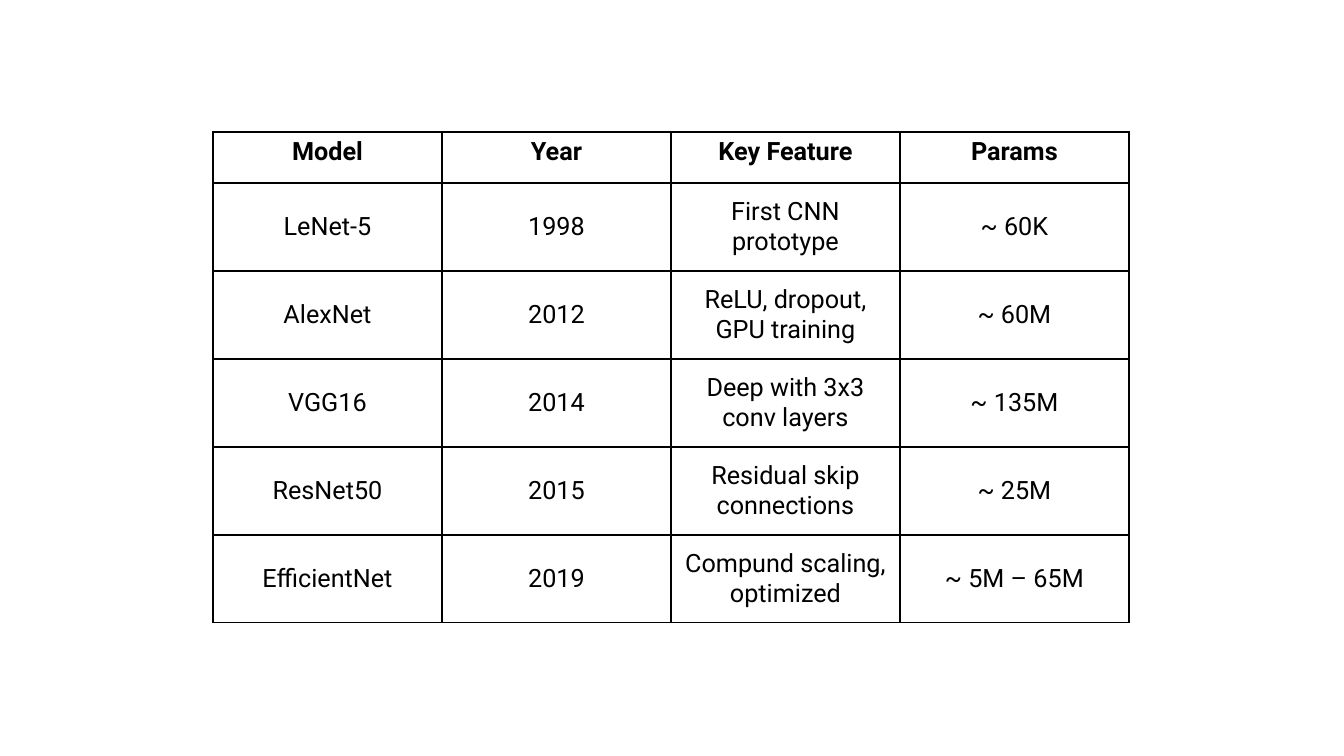
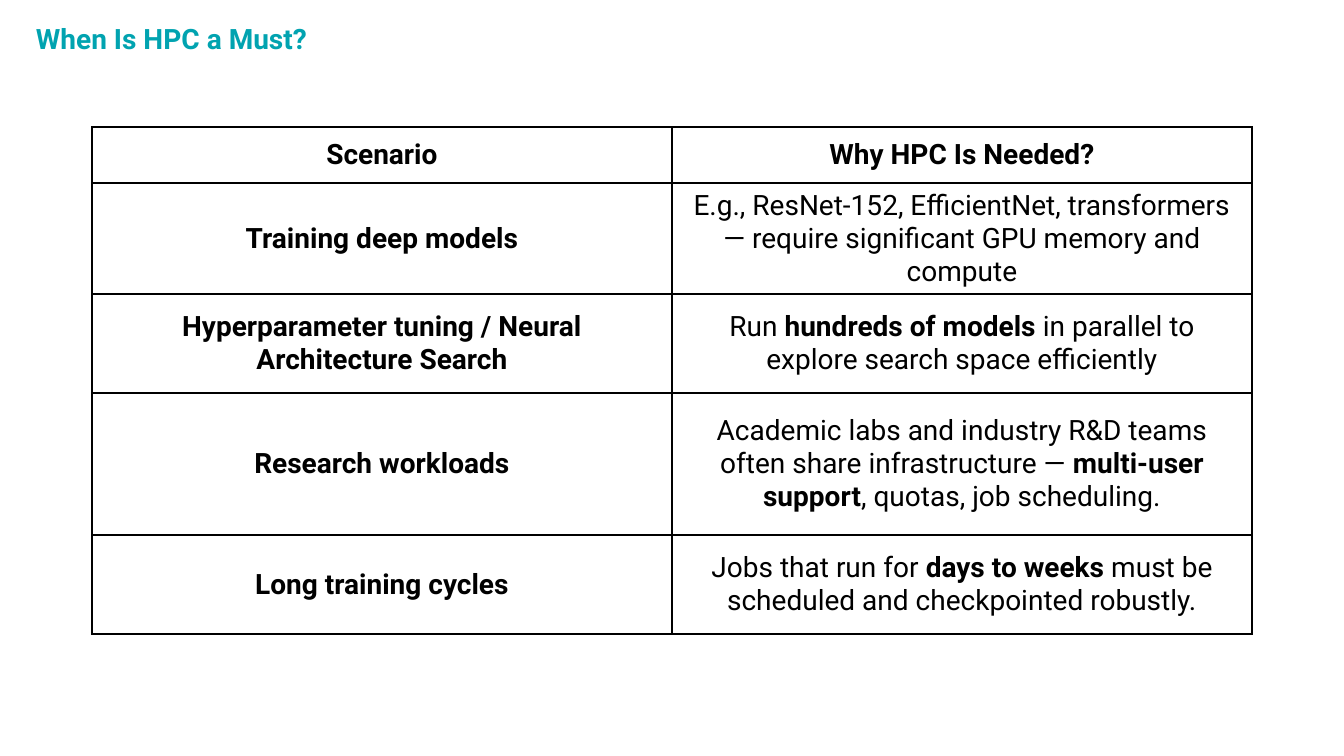
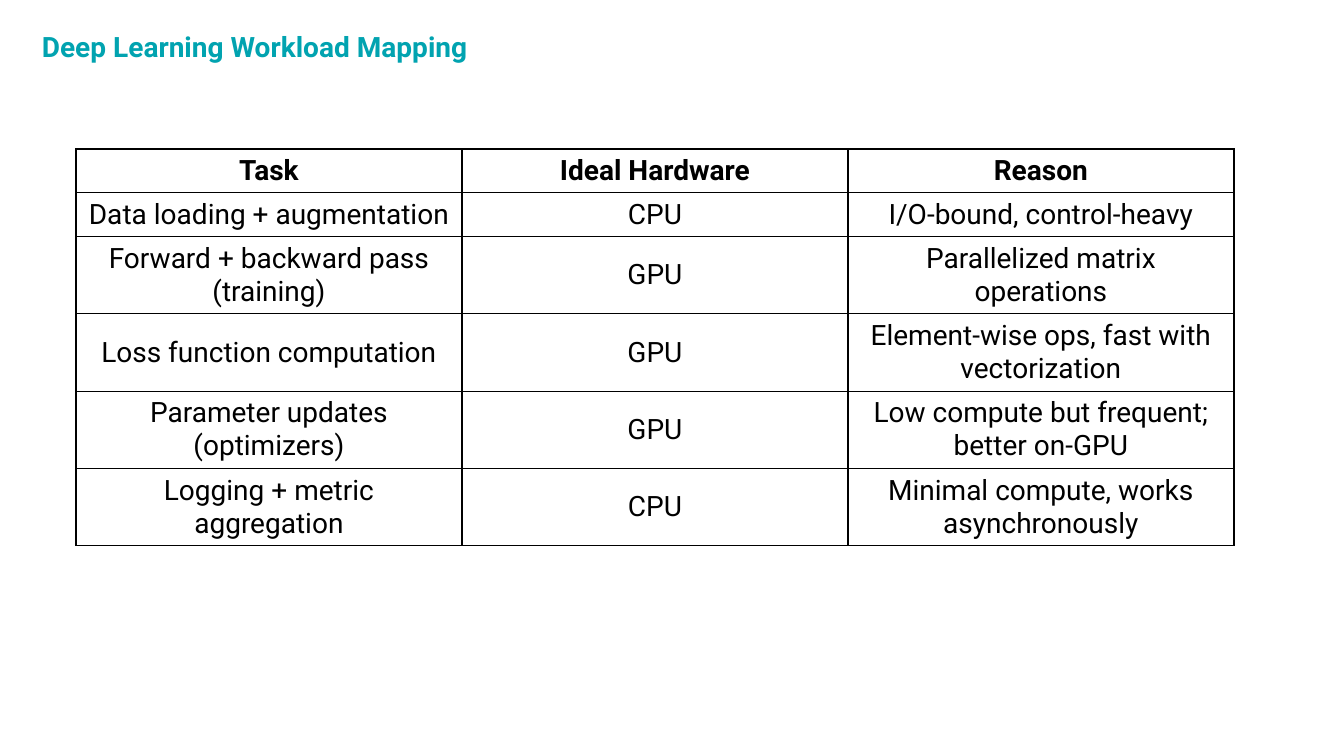
from lxml import etree
from pptx import Presentation
from pptx.dml.color import RGBColor
from pptx.enum.text import MSO_ANCHOR, MSO_AUTO_SIZE, PP_ALIGN
from pptx.oxml.ns import qn
from pptx.util import Emu, Pt

SLIDE_W, SLIDE_H = 1344, 756
EMU_PER_PX = 12192000 / SLIDE_W
CENTER = PP_ALIGN.CENTER
TOP, MIDDLE = MSO_ANCHOR.TOP, MSO_ANCHOR.MIDDLE
GROW = MSO_AUTO_SIZE.SHAPE_TO_FIT_TEXT
FONT = "Roboto"
TEAL, BLACK = "01A3B0", "000000"
BORDER_PT = 1

MODELS = [
    ["Model", "Year", "Key Feature", "Params"],
    ["LeNet-5", "1998", "First CNN prototype", "~ 60K"],
    ["AlexNet", "2012", "ReLU, dropout, GPU training", "~ 60M"],
    ["VGG16", "2014", "Deep with 3x3 conv layers", "~ 135M"],
    ["ResNet50", "2015", "Residual skip connections", "~ 25M"],
    ["EfficientNet", "2019", "Compund scaling, optimized", "~ 5M – 65M"],
]
SCENARIOS = [
    ["Scenario", "Why HPC Is Needed?"],
    ["**Training deep models**",
     "E.g., ResNet-152, EfficientNet, transformers — require significant "
     "GPU memory and compute"],
    ["**Hyperparameter tuning / Neural Architecture Search**",
     "Run **hundreds of models** in parallel to explore search space efficiently"],
    ["**Research workloads**",
     "Academic labs and industry R&D teams often share infrastructure — "
     "**multi-user support**, quotas, job scheduling."],
    ["**Long training cycles**",
     "Jobs that run for **days to weeks** must be scheduled and "
     "checkpointed robustly."],
]
WORKLOADS = [
    ["Task", "Ideal Hardware", "Reason"],
    ["Data loading + augmentation", "CPU", "I/O-bound, control-heavy"],
    ["Forward + backward pass (training)", "GPU", "Parallelized matrix operations"],
    ["Loss function computation", "GPU", "Element-wise ops, fast with vectorization"],
    ["Parameter updates (optimizers)", "GPU", "Low compute but frequent; better on-GPU"],
    ["Logging + metric aggregation", "CPU", "Minimal compute, works asynchronously"],
]


def px(n):
    return Emu(round(n * EMU_PER_PX))


def rgb(color):
    return RGBColor.from_string(color)


def style_run(r, size, color, bold):
    r.font.name = FONT
    r.font.size = Pt(size)
    r.font.bold = bold
    r.font.color.rgb = rgb(color)


def add_title(s, left, top, text):
    tf = s.shapes.add_textbox(px(left), px(top), px(672), px(44)).text_frame
    tf.word_wrap = True
    tf.auto_size = GROW
    tf.text = text
    style_run(tf.paragraphs[0].runs[0], 20, TEAL, True)


def set_borders(cell):
    tc_pr = cell._tc.get_or_add_tcPr()
    for side in ("a:lnL", "a:lnR", "a:lnT", "a:lnB"):
        line = etree.SubElement(tc_pr, qn(side), w=str(Pt(BORDER_PT)))
        fill = etree.SubElement(line, qn("a:solidFill"))
        etree.SubElement(fill, qn("a:srgbClr"), val=BLACK)


def fill_cell(cell, text, size, bold, anchor):
    """Write text into a cell; parts between ** marks are bold."""
    set_borders(cell)
    cell.fill.background()
    cell.vertical_anchor = anchor
    p = cell.text_frame.paragraphs[0]
    p.alignment = CENTER
    for i, part in enumerate(text.split("**")):
        if part:
            r = p.add_run()
            r.text = part
            style_run(r, size, BLACK, bold or i % 2 == 1)


def add_grid(s, left, top, col_width, heights, rows, size=20, header_anchor=MIDDLE):
    n_cols = len(rows[0])
    table = s.shapes.add_table(len(rows), n_cols, px(left), px(top),
                               px(col_width * n_cols), px(sum(heights))).table
    table.first_row = table.horz_banding = False
    for col in table.columns:
        col.width = px(col_width)
    for i, (height, texts) in enumerate(zip(heights, rows)):
        table.rows[i].height = px(height)
        for j, text in enumerate(texts):
            header = i == 0
            fill_cell(table.cell(i, j), text, size, header,
                      header_anchor if header else MIDDLE)


def main():
    prs = Presentation()
    prs.slide_width, prs.slide_height = px(SLIDE_W), px(SLIDE_H)
    blank = prs.slide_layouts[6]

    s = prs.slides.add_slide(blank)
    add_grid(s, 213, 132, 229, [51] + [88] * 5, MODELS, 18, TOP)

    s = prs.slides.add_slide(blank)
    add_title(s, 26, 17, "When Is HPC a Must?")
    add_grid(s, 92, 127, 580, [56, 111, 99, 142, 99], SCENARIOS)

    s = prs.slides.add_slide(blank)
    add_title(s, 32, 25, "Deep Learning Workload Mapping")
    add_grid(s, 76, 149, 386, [43] * 2 + [77] * 4, WORKLOADS)

    prs.save("out.pptx")


if __name__ == "__main__":
    main()
